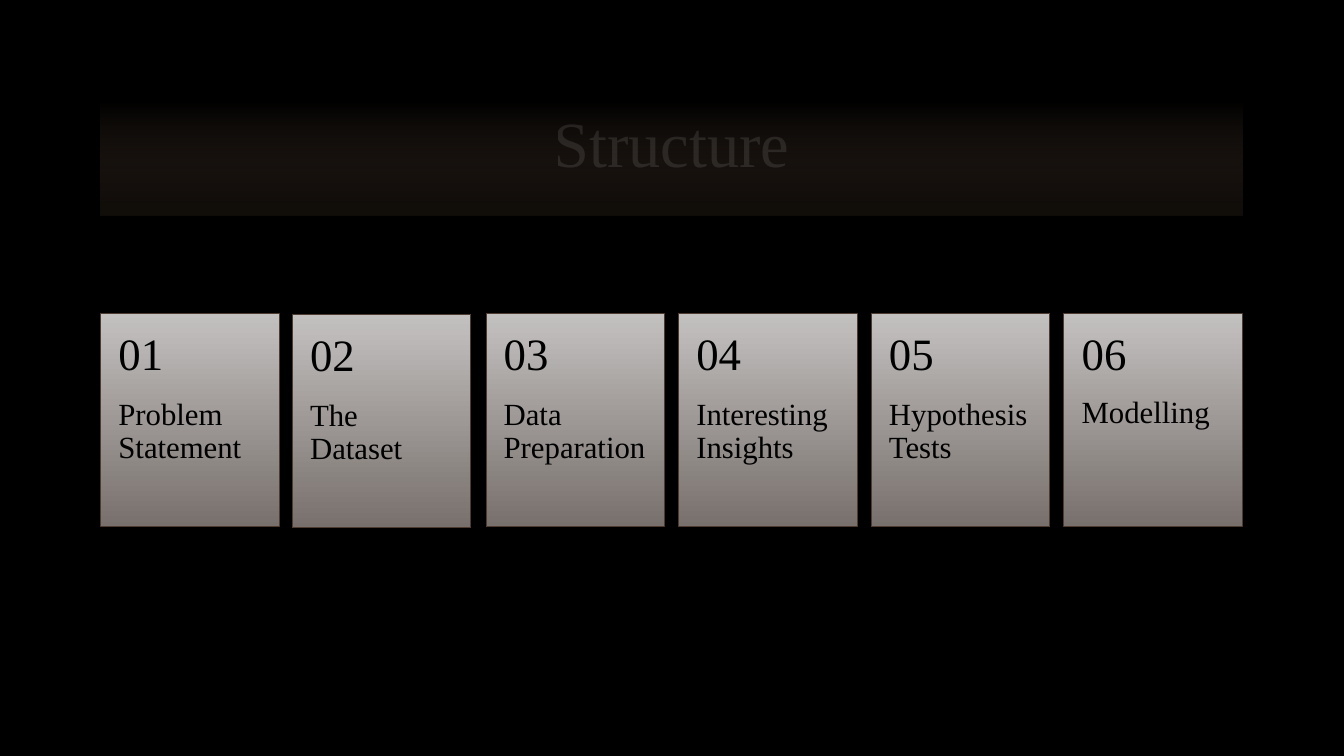
import pptx
import pptx.dml.color
import pptx.enum.shapes
import pptx.enum.text
import pptx.oxml
import pptx.oxml.ns
import pptx.util

Pt = pptx.util.Pt
ANCHOR = pptx.enum.text.MSO_ANCHOR
FONT = "Times New Roman"
TOPICS = ["Problem Statement", "The Dataset", "Data Preparation",
          "Interesting Insights", "Hypothesis Tests", "Modelling"]
NUDGES = {1: (-0.7, 0.9)}


def set_color(color_format, value, opacity=100):
    """Give a colour format a hex colour and an opacity in percent."""
    color_format.rgb = pptx.dml.color.RGBColor.from_string(value)
    if opacity < 100:
        parent = color_format._xFill if hasattr(color_format, "_xFill") else None
        return parent


def set_opacity(element, value, opacity):
    """Make every use of a hex colour below an element translucent."""
    for color in element.iter(pptx.oxml.ns.qn("a:srgbClr")):
        if color.get("val") == value:
            alpha = pptx.oxml.parse_xml(
                f'<a:alpha {pptx.oxml.ns.nsdecls("a")} val="{opacity * 1000}"/>')
            color.append(alpha)


def set_format(target, values):
    """Set attributes of an object from a dict."""
    for name, value in values.items():
        setattr(target, name, value)


def fill_gradient(shape, stops):
    """Fill a shape from top to bottom with (position, hex) stops."""
    shape.fill.gradient()
    shape.fill.gradient_angle = 270
    for stop, (position, value) in zip(shape.fill.gradient_stops, stops):
        stop.position = position
        set_color(stop.color, value)


def write_text(shape, text, size, color, frame_values, alignment):
    """Write one formatted paragraph into a shape."""
    frame = shape.text_frame
    set_format(frame, {"word_wrap": True, **frame_values})
    paragraph = frame.paragraphs[0]
    set_format(paragraph, {"alignment": alignment, "line_spacing": 0.9})
    run = paragraph.add_run()
    run.text = text
    set_format(run.font, {"name": FONT, "size": Pt(size)})
    set_color(run.font.color, color)


def add_title(slide, left, top, width, height):
    """Place the title band in its box."""
    title = slide.shapes.title
    set_format(title, {"left": Pt(left), "top": Pt(top),
                       "width": Pt(width), "height": Pt(height)})
    fill_gradient(title, [(0.16, "000000"), (0.9, "433329")])
    write_text(title, "Structure", 46, "FFFFFF",
               {"vertical_anchor": ANCHOR.MIDDLE},
               pptx.enum.text.PP_ALIGN.CENTER)
    set_opacity(title._element, "433329", 25)
    set_opacity(title._element, "FFFFFF", 10)


def add_card(shapes, number, topic, left, top, width, height):
    """Draw one numbered topic card in its box."""
    card = shapes.add_shape(pptx.enum.shapes.MSO_SHAPE.RECTANGLE,
                            Pt(left), Pt(top), Pt(width), Pt(height))
    card.shadow.inherit = False
    fill_gradient(card, [(0, "C3C1C0"), (1, "78706C")])
    set_color(card.line.color, "4E3B30")
    card.line.width = Pt(0.75)
    split = height * 0.4
    parts = [
        (topic, 22, split, height - split, 0, 26, ANCHOR.TOP),
        (f"{number:02}", 32, 0, split, 13, 13, ANCHOR.MIDDLE),
    ]
    for text, size, offset, part_height, above, below, anchor in parts:
        box = shapes.add_textbox(Pt(left), Pt(top + offset),
                                 Pt(width), Pt(part_height))
        write_text(box, text, size, "000000", {
            "margin_left": Pt(12.6), "margin_right": Pt(12.6),
            "margin_top": Pt(above), "margin_bottom": Pt(below),
            "vertical_anchor": anchor}, pptx.enum.text.PP_ALIGN.LEFT)


def add_cards(slide, left, top, width, height):
    """Spread the topic cards evenly over a box."""
    group = slide.shapes.add_group_shape()
    card_width = 127.5
    pitch = (width - card_width) / (len(TOPICS) - 1)
    for index, topic in enumerate(TOPICS):
        shift_x, shift_y = NUDGES.get(index, (0, 0))
        add_card(group.shapes, index + 1, topic, left + index * pitch + shift_x,
                 top + shift_y, card_width, height)


def main():
    """Build and save the presentation."""
    presentation = pptx.Presentation()
    set_format(presentation, {"slide_width": Pt(960), "slide_height": Pt(540)})
    slide = presentation.slides.add_slide(presentation.slide_layouts[5])
    slide.background.fill.solid()
    set_color(slide.background.fill.fore_color, "000000")
    add_title(slide, 72, 54.7, 815.5, 99.4)
    add_cards(slide, 72, 223.6, 815.5, 152.6)
    presentation.save("out.pptx")


if __name__ == "__main__":
    main()
